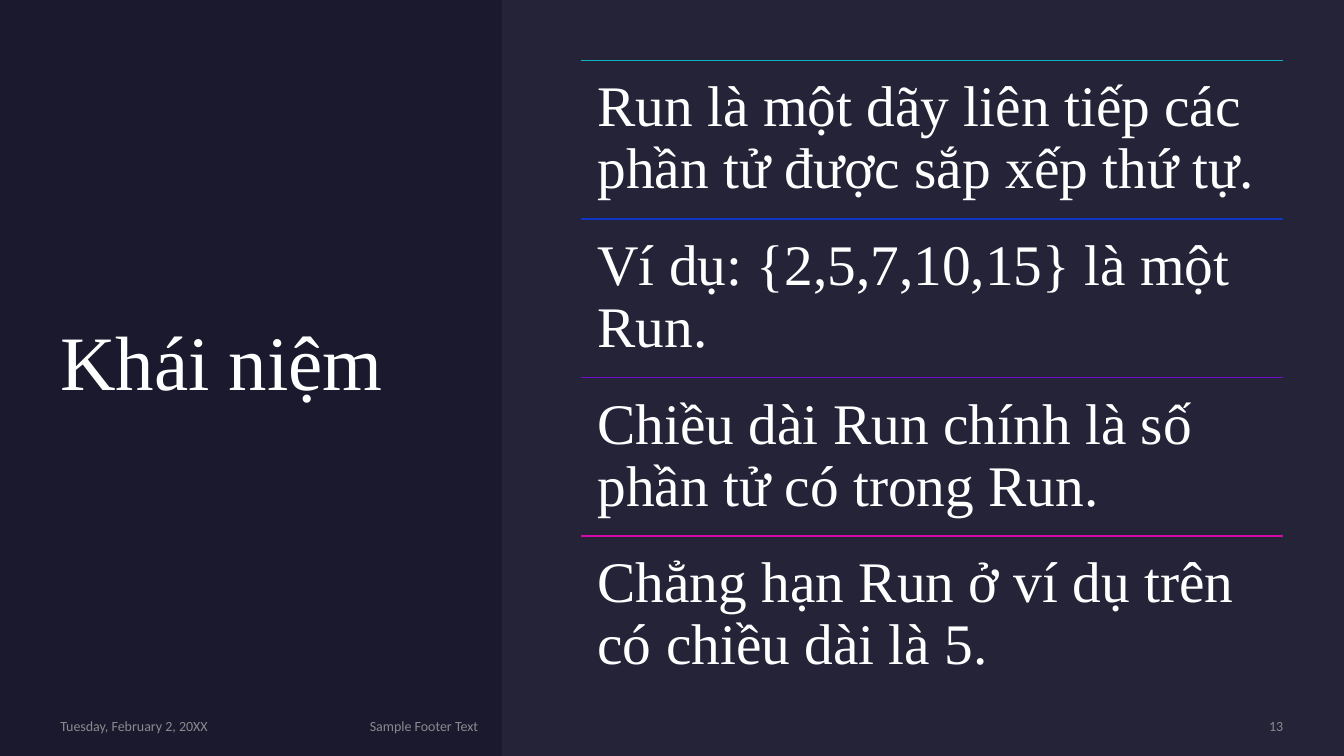
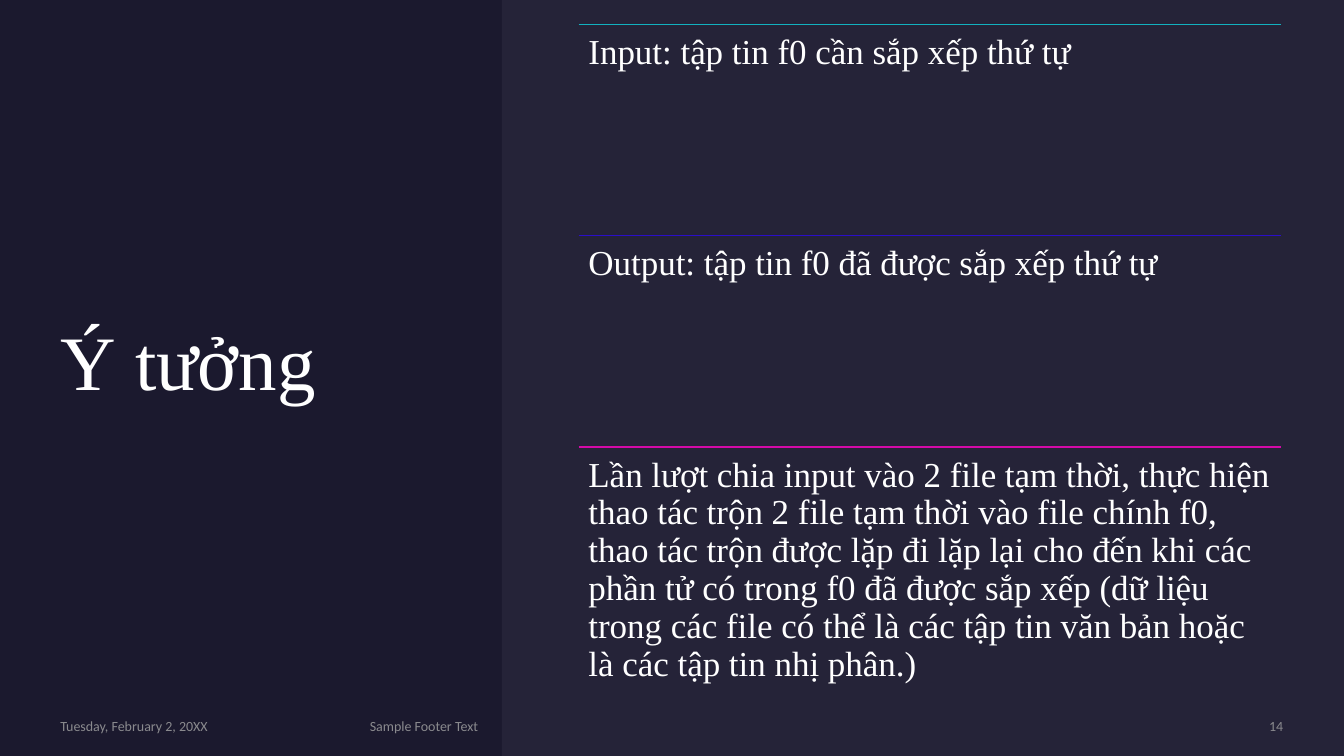
from lxml.etree import SubElement
from pptx import Presentation
from pptx.dml.color import RGBColor
from pptx.enum.shapes import MSO_CONNECTOR, MSO_SHAPE
from pptx.enum.text import MSO_ANCHOR, PP_ALIGN
from pptx.oxml.ns import qn
from pptx.util import Cm, Pt

SLIDE_WIDTH, SLIDE_HEIGHT = 33.87, 19.05
MARGIN = 1.52
PANEL_LEFT = 12.65
LIST_WIDTH, LIST_HEIGHT = 17.7, 15.98
FOOTER_TOP, FOOTER_HEIGHT = 18.08, 0.43

NIGHT = RGBColor(0x1B, 0x19, 0x2E)
PANEL = RGBColor(0x25, 0x23, 0x38)
WHITE = RGBColor(0xFF, 0xFF, 0xFF)
GREY = RGBColor(0x8A, 0x8A, 0x8E)
TEAL = RGBColor(0x12, 0xB1, 0xBF)
BLUE = RGBColor(0x0F, 0x35, 0xC6)
INDIGO = RGBColor(0x2A, 0x0E, 0xC9)
VIOLET = RGBColor(0x6E, 0x0D, 0xCD)
MAGENTA = RGBColor(0xD4, 0x0A, 0xA8)

SERIF, SANS = "Times New Roman", "Calibri"


def add_text(slide, box, text, size, font=SERIF, color=WHITE, inset=0,
             anchor=MSO_ANCHOR.MIDDLE, align=PP_ALIGN.LEFT, spacing=0.9):
    """Place one paragraph in box, given as left, top, width, height in cm."""
    frame = slide.shapes.add_textbox(*map(Cm, box)).text_frame
    frame.word_wrap = True
    frame.vertical_anchor = anchor
    frame.margin_left = frame.margin_right = Cm(inset)
    frame.margin_top = frame.margin_bottom = Cm(inset)
    frame.text = text
    paragraph = frame.paragraphs[0]
    paragraph.alignment = align
    paragraph.line_spacing = spacing
    run_font = paragraph.runs[0].font
    run_font.name, run_font.size = font, Pt(size)
    run_font.color.rgb = color


def add_rule(slide, left, top, width, color):
    line = slide.shapes.add_connector(
        MSO_CONNECTOR.STRAIGHT, Cm(left), Cm(top), Cm(left + width), Cm(top))
    line.line.color.rgb = color
    line.line.width = Pt(1)
    SubElement(line._element.spPr, qn("a:effectLst"))


def add_panel(slide):
    panel = slide.shapes.add_shape(
        MSO_SHAPE.RECTANGLE, Cm(PANEL_LEFT), 0,
        Cm(SLIDE_WIDTH - PANEL_LEFT), Cm(SLIDE_HEIGHT))
    panel.shadow.inherit = False
    panel.fill.solid()
    panel.fill.fore_color.rgb = PANEL
    panel.line.fill.background()


def add_footer(slide, number):
    parts = [
        (MARGIN, 7.32, "Tuesday, February 2, 20XX", PP_ALIGN.LEFT),
        (9.32, 17.73, "Sample Footer Text", PP_ALIGN.LEFT),
        (27.64, 4.7, str(number), PP_ALIGN.RIGHT),
    ]
    for left, width, text, align in parts:
        add_text(slide, (left, FOOTER_TOP, width, FOOTER_HEIGHT), text, 10,
                 SANS, GREY, align=align, spacing=1.0)


def add_ruled_list(slide, box, items, size, inset):
    """Split box into equal rows, each with a coloured rule above its text."""
    left, top, width, height = box
    row_height = height / len(items)
    for index, (color, text) in enumerate(items):
        row_top = top + index * row_height
        add_rule(slide, left, row_top, width, color)
        add_text(slide, (left, row_top, width, row_height), text, size,
                 inset=inset, anchor=MSO_ANCHOR.TOP)


def add_list_slide(presentation, number, title, list_left, list_top,
                   items, size, inset):
    slide = presentation.slides.add_slide(presentation.slide_layouts[6])
    slide.background.fill.solid()
    slide.background.fill.fore_color.rgb = NIGHT
    add_panel(slide)
    add_text(slide, (MARGIN, MARGIN, 9.9, 15.4), title, 55)
    add_footer(slide, number)
    add_ruled_list(slide, (list_left, list_top, LIST_WIDTH, LIST_HEIGHT),
                   items, size, inset)


def main():
    presentation = Presentation()
    presentation.slide_width = Cm(SLIDE_WIDTH)
    presentation.slide_height = Cm(SLIDE_HEIGHT)
    add_list_slide(presentation, 13, "Khái niệm", 14.63, MARGIN, [
        (TEAL, "Run là một dãy liên tiếp các phần tử được sắp xếp thứ tự."),
        (BLUE, "Ví dụ: {2,5,7,10,15} là một Run."),
        (VIOLET, "Chiều dài Run chính là số phần tử có trong Run."),
        (MAGENTA, "Chẳng hạn Run ở ví dụ trên có chiều dài là 5."),
    ], size=41, inset=0.43)
    add_list_slide(presentation, 14, "Ý tưởng", 14.58, 0.61, [
        (TEAL, "Input: tập tin f0 cần sắp xếp thứ tự"),
        (INDIGO, "Output: tập tin f0 đã được sắp xếp thứ tự"),
        (MAGENTA, "Lần lượt chia input vào 2 file tạm thời, thực hiện thao tác "
                  "trộn 2 file tạm thời vào file chính f0, thao tác trộn được "
                  "lặp đi lặp lại cho đến khi các phần tử có trong f0 đã được "
                  "sắp xếp (dữ liệu trong các file có thể là các tập tin văn "
                  "bản hoặc là các tập tin nhị phân.)"),
    ], size=25, inset=0.25)
    presentation.save("out.pptx")


if __name__ == "__main__":
    main()
